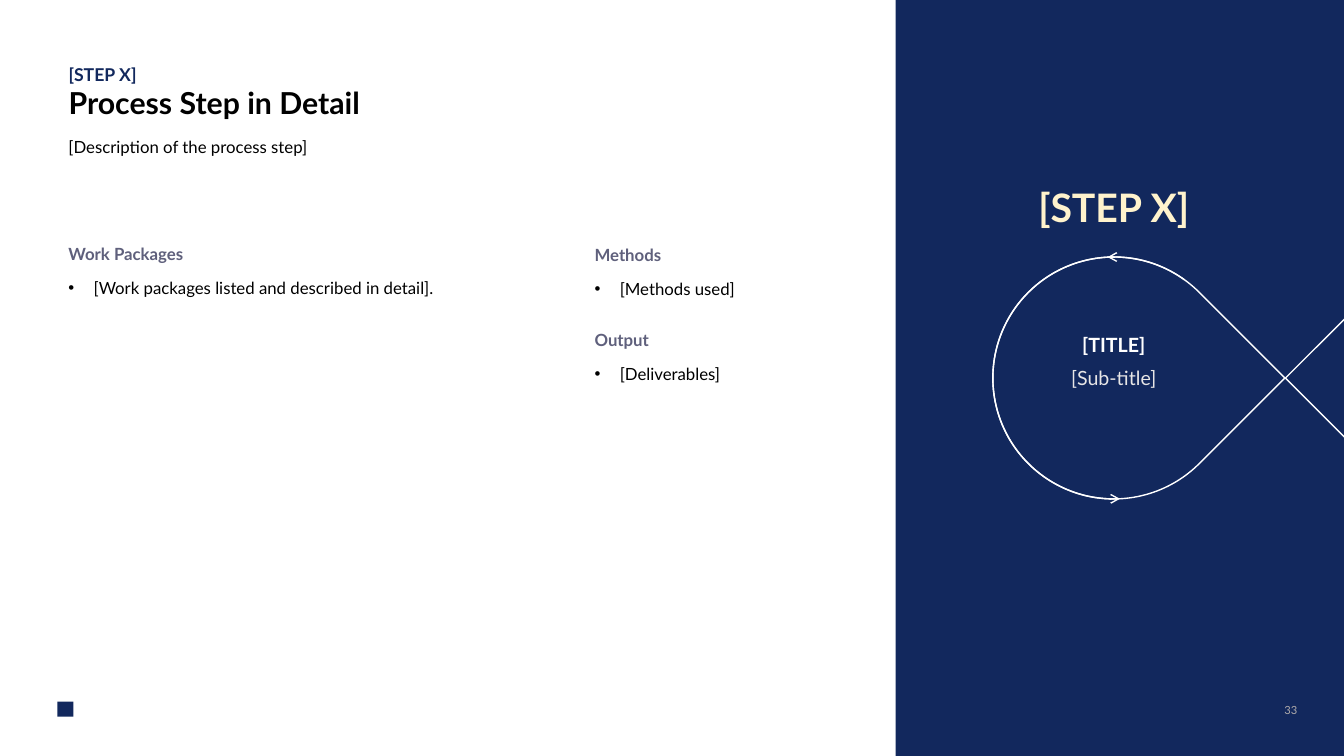
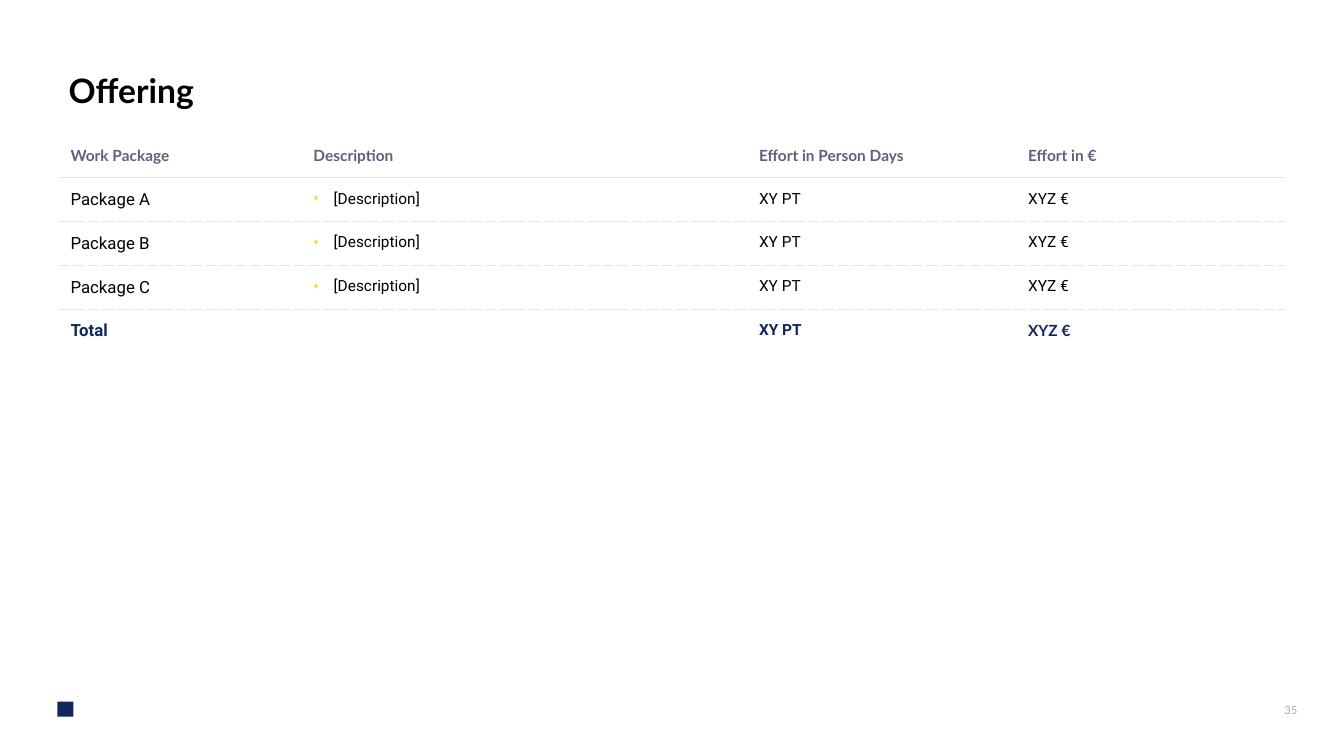
from dataclasses import dataclass
from typing import Optional

import lxml.etree
import pptx
import pptx.dml.color
import pptx.enum.shapes
import pptx.enum.text
import pptx.oxml.ns
import pptx.util

Pt = pptx.util.Pt
qn = pptx.oxml.ns.qn
RGB = pptx.dml.color.RGBColor.from_string
SHAPE = pptx.enum.shapes.MSO_SHAPE
ALIGN = pptx.enum.text.PP_ALIGN
ANCHOR = pptx.enum.text.MSO_ANCHOR


@dataclass(frozen=True)
class Theme:
    navy: str = "12285D"
    black: str = "000000"
    white: str = "FFFFFF"
    slate: str = "5F607C"
    cream: str = "FFF3CD"
    yellow: str = "FFDC69"
    light: str = "E7E6E6"
    grey: str = "AFABAB"
    lato: str = "Lato"
    roboto: str = "Roboto"
    title: float = 24
    step_title: float = 21.6
    kicker: float = 12.6
    hero: float = 28
    label: float = 14
    body: float = 12
    cell: float = 11
    page: float = 8


T = Theme()


@dataclass(frozen=True)
class Box:
    left: float
    top: float
    width: float
    height: float

    def lengths(self) -> list:
        return [Pt(v) for v in (self.left, self.top, self.width, self.height)]


@dataclass(frozen=True)
class Para:
    text: str
    size: float = T.body
    color: str = T.black
    bold: bool = False
    font: str = T.lato
    before: float = 0
    indent: float = 0
    bullet_color: Optional[str] = None
    line_spacing: Optional[float] = None


MARGIN = 41.8
TITLE_TOP = 41.8
TITLE_H = 48.2
BODY_TOP = 95.8
COLUMN_TOP = 170.6
WIDE = 876.2
NARROW = 557.3
LOOP = Box(709.2, 183.6, 172.8, 172.8)
LOOP_PITCH = 244.8


def sub(parent, tag: str, **attrs: str):
    return lxml.etree.SubElement(parent, qn(tag), attrs)


def style(font, size: float, color: str, bold: bool, name: str) -> None:
    font.size, font.bold, font.name = Pt(size), bold, name
    font.color.rgb = RGB(color)


def add_bullet(p, indent: float, color: Optional[str]) -> None:
    pPr = p._p.get_or_add_pPr()
    pPr.set("marL", str(Pt(indent)))
    pPr.set("indent", str(-Pt(indent)))
    if color:
        sub(sub(pPr, "a:buClr"), "a:srgbClr", val=color)
    sub(pPr, "a:buFont", typeface="Arial")
    sub(pPr, "a:buChar", char="•")


def write(tf, paras: list[Para], align=ALIGN.LEFT) -> None:
    for i, para in enumerate(paras):
        p = tf.paragraphs[0] if i == 0 else tf.add_paragraph()
        p.text = para.text
        p.alignment = align
        if para.indent:
            add_bullet(p, para.indent, para.bullet_color)
        if para.before:
            p.space_before = Pt(para.before)
        if para.line_spacing:
            p.line_spacing = para.line_spacing
        for r in p.runs:
            style(r.font, para.size, para.color, para.bold, para.font)
        if not p.runs:
            sub(p._p, "a:endParaRPr", sz=str(int(para.size * 100)))


def add_text(s, box: Box, paras: list[Para], align=ALIGN.LEFT, anchor=ANCHOR.TOP) -> None:
    tf = s.shapes.add_textbox(*box.lengths()).text_frame
    tf.word_wrap = True
    tf.vertical_anchor = anchor
    write(tf, paras, align)


def add_shape(s, kind, box: Box, fill: Optional[str] = None, line: Optional[str] = None):
    sp = s.shapes.add_shape(kind, *box.lengths())
    sp.shadow.inherit = False
    if fill:
        sp.fill.solid()
        sp.fill.fore_color.rgb = RGB(fill)
    else:
        sp.fill.background()
    if line:
        sp.line.color.rgb = RGB(line)
        sp.line.width = Pt(1)
    else:
        sp.line.fill.background()
    return sp


def add_slide(prs, title: Para, width: float):
    """Add a title-only slide with its title and the plain corner mark."""
    s = prs.slides.add_slide(prs.slide_layouts[5])
    sp = s.shapes.title
    sp.left, sp.top, sp.width, sp.height = Box(MARGIN, TITLE_TOP, width, TITLE_H).lengths()
    tf = sp.text_frame
    tf.word_wrap = True
    tf.auto_size = pptx.enum.text.MSO_AUTO_SIZE.NONE
    tf.vertical_anchor = ANCHOR.MIDDLE
    write(tf, [title])
    add_shape(s, SHAPE.RECTANGLE, Box(41, 501.1, 11.5, 10.8), T.navy)
    return s


def add_page_number(s, number: int) -> None:
    add_text(s, Box(614.2, 491.8, 319.7, 30.2),
             [Para(str(number), T.page, T.grey)], ALIGN.RIGHT, ANCHOR.MIDDLE)


def add_arc(s, start: float, end: float, flipped: bool = False) -> None:
    """Draw an arc on the loop, angles in degrees, with an arrowhead at its start."""
    sp = add_shape(s, SHAPE.ARC, LOOP, line=T.white)
    for i, angle in enumerate((start, end)):
        sp.adjustments[i] = angle * 0.6
    if flipped:
        xfrm = sp._element.spPr.find(qn("a:xfrm"))
        xfrm.set("flipH", "1")
        xfrm.set("flipV", "1")
    sub(sp.line._get_or_add_ln(), "a:headEnd", type="arrow")


def add_loop(s) -> None:
    for i, rotation in enumerate((45, 225)):
        box = Box(LOOP.left + i * LOOP_PITCH, LOOP.top, LOOP.width, LOOP.height)
        add_shape(s, SHAPE.TEAR, box, line=T.white).rotation = rotation
    add_arc(s, 87.1, 270.28)
    add_arc(s, 87.1, 125.9, flipped=True)


def heading(text: str, before: float = 0) -> Para:
    return Para(text, color=T.slate, bold=True, before=before)


def item(text: str) -> Para:
    return Para(text, before=10, indent=18)


def build_step(prs) -> None:
    s = add_slide(prs, Para("[STEP X]\vProcess Step in Detail", T.step_title, bold=True), NARROW)
    kicker = s.shapes.title.text_frame.paragraphs[0].runs[0]
    style(kicker.font, T.kicker, T.navy, True, T.lato)
    add_shape(s, SHAPE.RECTANGLE, Box(639.8, 0, 320.2, 540), T.navy)
    add_text(s, Box(MARGIN, BODY_TOP, NARROW, 53.3),
             [Para("[Description of the process step]", line_spacing=0.9)])
    add_loop(s)
    labels = [
        (Box(740.2, 234, 110.9, 24.2), Para("[TITLE]", T.label, T.white, True)),
        (Box(730.8, 257.8, 129.6, 24.2), Para("[Sub-title]", T.label, T.light)),
        (Box(691.2, 127.4, 208.8, 41.2), Para("[STEP X]", T.hero, T.cream, True)),
    ]
    for box, para in labels:
        add_text(s, box, [para], ALIGN.CENTER)
    add_text(s, Box(417.6, COLUMN_TOP + 0.4, 181.4, 302.4),
             [heading("Methods"), item("[Methods used]"),
              heading("Output", before=22), item("[Deliverables]")])
    add_text(s, Box(MARGIN, COLUMN_TOP, 334.8, 46.8),
             [heading("Work Packages"),
              item("[Work packages listed and described in detail].")])
    add_page_number(s, 33)


def set_borders(cell, top: Optional[str], bottom: Optional[str]) -> None:
    """Set cell borders; each dash name is a preset, and None means no line."""
    tcPr = cell._tc.get_or_add_tcPr()
    for side, dash in (("L", None), ("R", None), ("T", top), ("B", bottom)):
        ln = sub(tcPr, f"a:ln{side}", w=str(Pt(0.5)))
        if dash:
            sub(sub(ln, "a:solidFill"), "a:srgbClr", val=T.light)
            sub(ln, "a:prstDash", val=dash)
        else:
            sub(ln, "a:noFill")


def offering_rows() -> list[list[Para]]:
    header = [Para(text, T.cell, T.slate, True) for text in
              ("Work Package", "Description", "Effort in Person Days", "Effort in €")]
    packages = [
        [Para(f"Package {letter}", font=T.roboto),
         Para("[Description]", T.cell, font=T.roboto, indent=14.4, bullet_color=T.yellow),
         Para("XY PT", T.cell, font=T.roboto),
         Para("XYZ €", T.cell, font=T.roboto)]
        for letter in "ABC"]
    total = [Para("Total", T.body, T.navy, True, T.roboto),
             Para("", T.cell),
             Para("XY PT", T.cell, T.navy, True, T.roboto),
             Para("XYZ €", T.cell, T.navy, True)]
    return [header, *packages, total]


def build_offering(prs) -> None:
    s = add_slide(prs, Para("Offering", T.title, bold=True, line_spacing=0.9), WIDE)
    rows = offering_rows()
    widths = (173.5, 318.3, 192.2, 192.2)
    row_h = 31.1
    box = Box(MARGIN, BODY_TOP, WIDE, row_h * len(rows))
    table = s.shapes.add_table(len(rows), len(widths), *box.lengths()).table
    table.first_row = table.horz_banding = False
    for column, width in zip(table.columns, widths):
        column.width = Pt(width)
    rules = [None, "solid"] + ["sysDash"] * (len(rows) - 2) + [None]
    for i, row in enumerate(rows):
        table.rows[i].height = Pt(row_h)
        for j, para in enumerate(row):
            cell = table.cell(i, j)
            cell.margin_left = cell.margin_right = Pt(8.64)
            cell.margin_top = cell.margin_bottom = Pt(8.64)
            set_borders(cell, rules[i], rules[i + 1])
            cell.fill.background()
            write(cell.text_frame, [para])
    add_page_number(s, 35)


def main() -> None:
    prs = pptx.Presentation()
    prs.slide_width, prs.slide_height = Pt(960), Pt(540)
    build_step(prs)
    build_offering(prs)
    prs.save("out.pptx")


if __name__ == "__main__":
    main()
